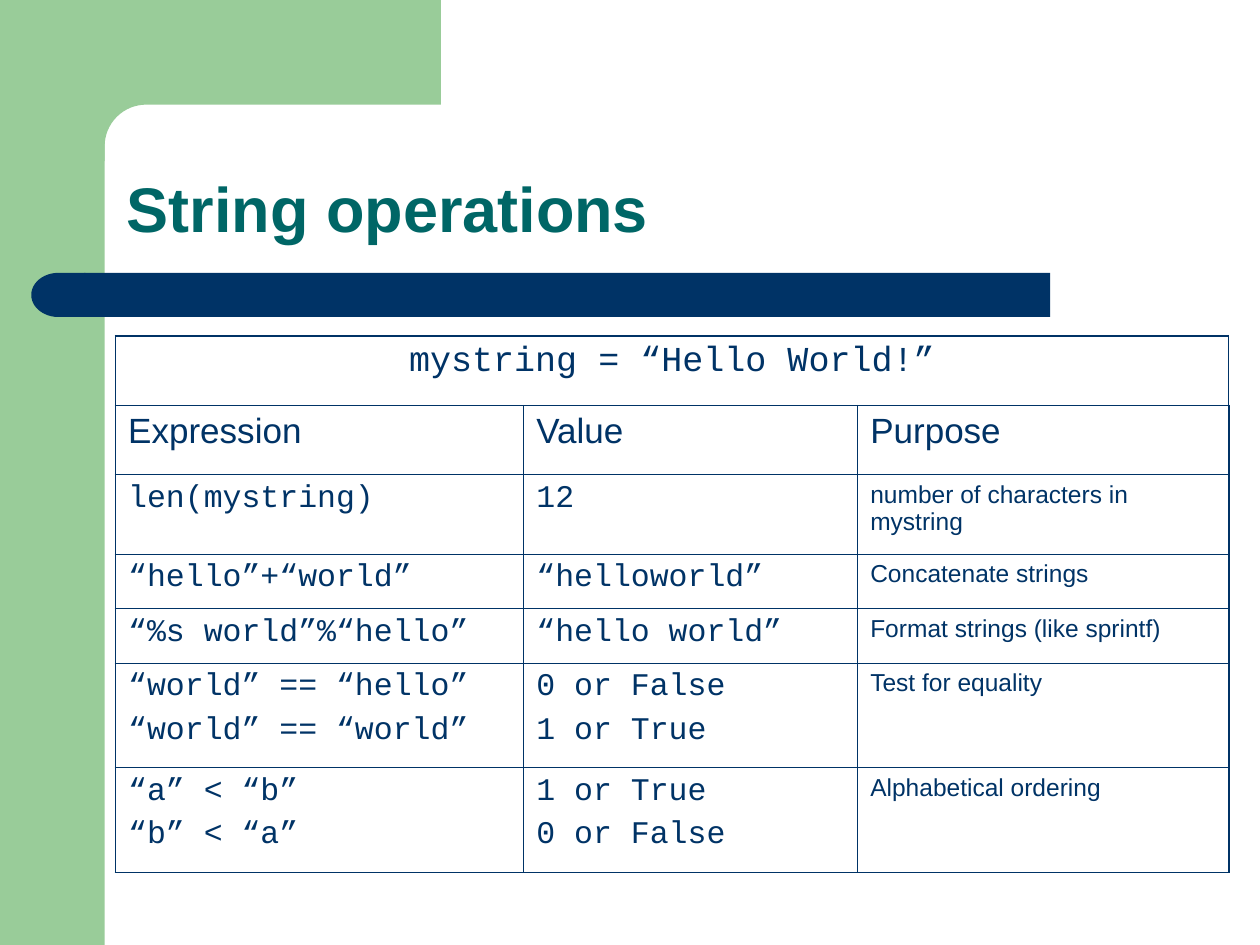
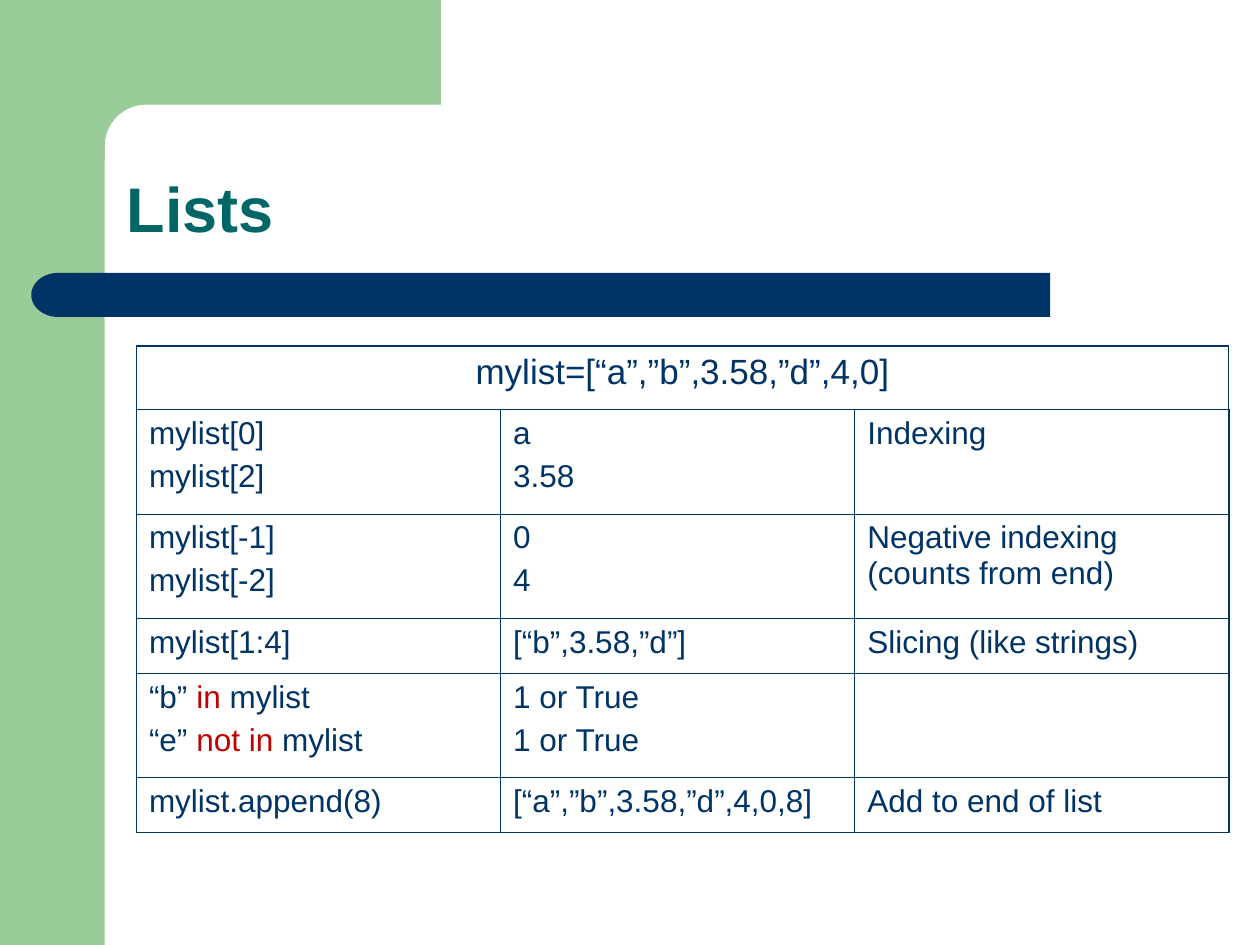
import math
import pptx
import pptx.util
import pptx.dml.color
import pptx.enum.shapes
import pptx.enum.text
import pptx.oxml
import pptx.oxml.ns

Cm = pptx.util.Cm
Pt = pptx.util.Pt
Kind = pptx.enum.shapes.MSO_SHAPE
Align = pptx.enum.text.PP_ALIGN
Anchor = pptx.enum.text.MSO_ANCHOR

GREEN, NAVY, TEAL, RED = "99CC99", "003366", "006666", "C00000"
SANS, MONO = "Arial", "Courier New"


def color(code):
    return pptx.dml.color.RGBColor.from_string(code)


def write(frame, text, font=SANS, size=18, tint=NAVY, bold=False,
          align=Align.LEFT, before=0, line=None):
    frame.word_wrap = True
    for i, row in enumerate(text.split("\n")):
        para = frame.paragraphs[0] if i == 0 else frame.add_paragraph()
        para.alignment = align
        para.space_before = Pt(before)
        if line:
            para.line_spacing = line
        for j, part in enumerate(row.split("|")):
            run = para.add_run()
            run.text = part
            run.font.name = font
            run.font.size = Pt(size)
            run.font.bold = bold
            run.font.color.rgb = color(RED if j % 2 else tint)


def edge(cell, side, width):
    line = pptx.oxml.parse_xml(
        f'<a:ln{side} {pptx.oxml.ns.nsdecls("a")} w="{Pt(width)}">'
        f'<a:solidFill><a:srgbClr val="{NAVY}"/></a:solidFill></a:ln{side}>')
    cell._tc.get_or_add_tcPr().append(line)


class Deck:
    def __init__(self):
        self.file = pptx.Presentation()
        self.file.slide_width = Cm(25.4)
        self.file.slide_height = Cm(19.05)
        self.slide = None

    def start(self, title):
        self.slide = self.file.slides.add_slide(self.file.slide_layouts[6])
        self.shape(Kind.RECTANGLE, 0, 0, 2.11, 19.05, GREEN)
        self.corner()
        self.shape(Kind.RECTANGLE, 1.7, 5.5, 19.47, 0.89, NAVY)
        self.shape(Kind.FLOWCHART_DELAY, 0.63, 5.5, 1.09, 0.89, NAVY).rotation = 180
        self.title(title)

    def paint(self, shape, fill):
        shape.shadow.inherit = False
        shape.fill.solid()
        shape.fill.fore_color.rgb = color(fill)
        shape.line.fill.background()
        return shape

    def shape(self, kind, left, top, width, height, fill):
        box = Cm(left), Cm(top), Cm(width), Cm(height)
        return self.paint(self.slide.shapes.add_shape(kind, *box), fill)

    def corner(self):
        inner, radius, steps = 2.11, 0.84, 16
        mid = inner + radius
        turns = [math.pi / 2 * i / steps for i in range(steps + 1)]
        curve = [(mid - radius * math.sin(t), mid - radius * math.cos(t)) for t in turns]
        spots = [(8.89, inner), *curve, (inner, 3.25), (1.27, 3.25), (1.27, 0)]
        pen = self.slide.shapes.build_freeform(Cm(8.89), Cm(0), scale=1.0)
        pen.add_line_segments([(Cm(x), Cm(y)) for x, y in spots])
        self.paint(pen.convert_to_shape(), GREEN)

    def title(self, text):
        box = self.slide.shapes.add_textbox(Cm(2.31), Cm(2.31), Cm(21.62), Cm(2.77))
        box.text_frame.vertical_anchor = Anchor.BOTTOM
        write(box.text_frame, text, size=36, tint=TEAL, bold=True, line=0.9)

    def table(self, left, top, widths, heights, rows, style):
        grid = self.slide.shapes.add_table(
            len(rows), len(widths), Cm(left), Cm(top),
            Cm(sum(widths)), Cm(sum(heights))).table
        grid.first_row = grid.horz_banding = False
        for col, width in zip(grid.columns, widths):
            col.width = Cm(width)
        for row, height in zip(grid.rows, heights):
            row.height = Cm(height)
        grid.cell(0, 0).merge(grid.cell(0, len(widths) - 1))
        for r, row in enumerate(rows):
            for c in range(len(widths)):
                cell = grid.cell(r, c)
                outer = {"L": c == 0, "R": c == len(widths) - 1,
                         "T": r == 0, "B": r == len(rows) - 1}
                for side, rim in outer.items():
                    edge(cell, side, 1.08 if rim else 0.45)
                cell.fill.background()
                if c < len(row) and row[c]:
                    font, size = style(r, c)
                    write(cell.text_frame, row[c], font=font, size=size, before=size / 4,
                          align=Align.LEFT if r else Align.CENTER)


def string_style(row, col):
    if row < 2:
        return (SANS if row else MONO), 20
    return (SANS, 14) if col == 2 else (MONO, 18)


def list_style(row, col):
    return SANS, 18 if row else 20


def main():
    deck = Deck()
    one, two = 1.1, 2.11

    deck.start("String operations")
    deck.table(2.33, 6.77, [8.23, 6.73, 7.48], [1.4, 1.4, 1.6, one, one, two, two], [
        ["mystring = “Hello World!”"],
        ["Expression", "Value", "Purpose"],
        ["len(mystring)", "12", "number of characters in mystring"],
        ["“hello”+“world”", "“helloworld”", "Concatenate strings"],
        ["“%s world”%“hello”", "“hello world”", "Format strings (like sprintf)"],
        ["“world” == “hello”\n“world” == “world”", "0 or False\n1 or True",
         "Test for equality"],
        ["“a” < “b”\n“b” < “a”", "1 or True\n0 or False", "Alphabetical ordering"],
    ], string_style)

    deck.start("Lists")
    deck.table(2.75, 6.98, [7.34, 7.14, 7.54], [1.27, two, two, one, two, one], [
        ["mylist=[“a”,”b”,3.58,”d”,4,0]"],
        ["mylist[0]\nmylist[2]", "a\n3.58", "Indexing"],
        ["mylist[-1]\nmylist[-2]", "0\n4", "Negative indexing (counts from end)"],
        ["mylist[1:4]", "[“b”,3.58,”d”]", "Slicing (like strings)"],
        ["“b” |in |mylist\n“e” |not in |mylist", "1 or True\n1 or True", ""],
        ["mylist.append(8)", "[“a”,”b”,3.58,”d”,4,0,8]", "Add to end of list"],
    ], list_style)

    deck.file.save("out.pptx")


if __name__ == "__main__":
    main()
